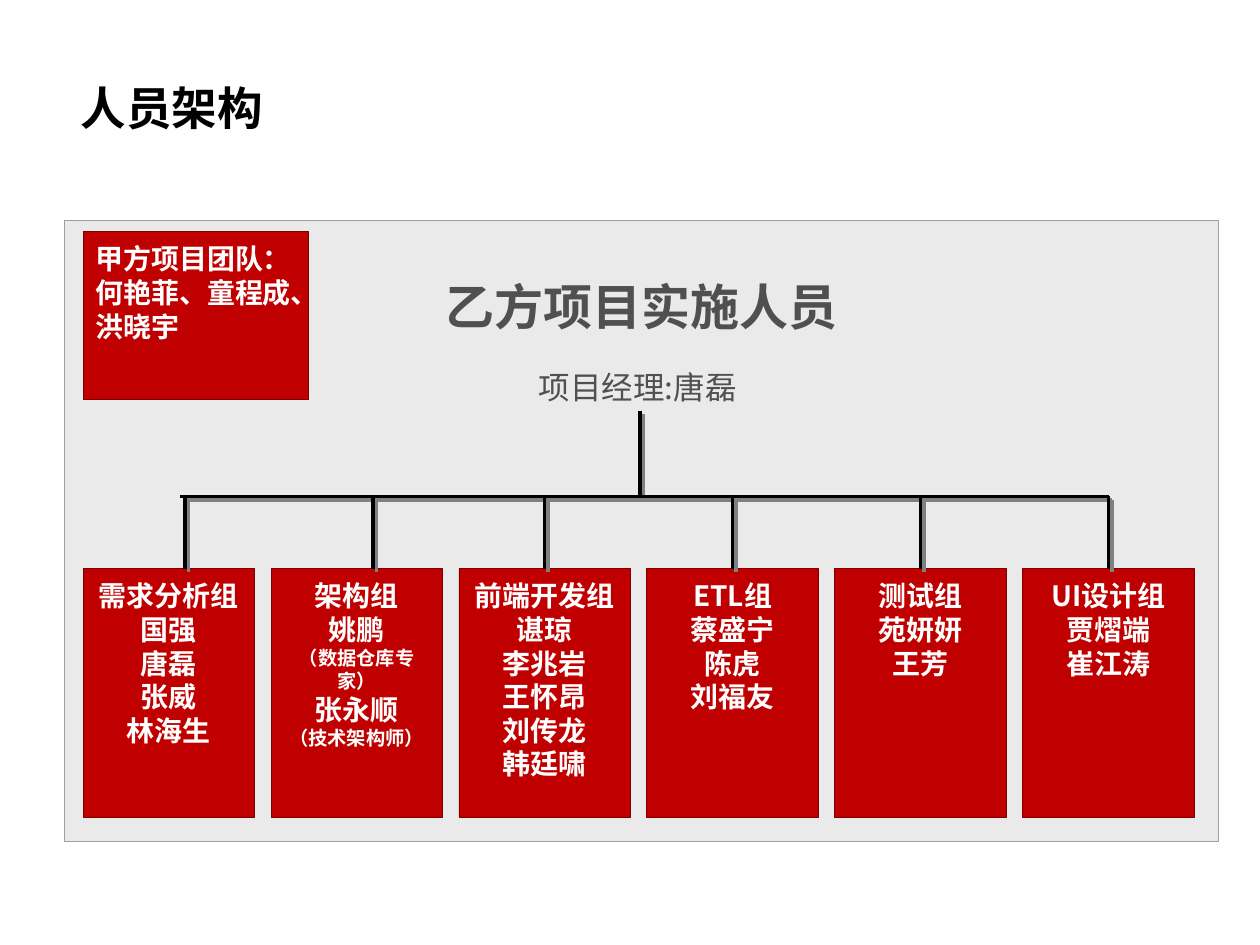
from lxml import etree
from pptx import Presentation
from pptx.dml.color import RGBColor
from pptx.enum import shapes, text
from pptx.oxml import ns
from pptx.util import Pt

FONT = "Noto Sans CJK SC"
COLORS = {
    "title": "000000",
    "panel": "EAEAEA",
    "panel_line": "A0A0A0",
    "panel_text": "505050",
    "card": "C00000",
    "card_line": "7D0000",
    "card_text": "FFFFFF",
    "connector": "000000",
    "shadow": "808080",
}
LINE_HEIGHT = 1.2
CARD_PITCH, CARD_WIDTH, CARD_HEIGHT = 107.4, 97.9, 142

# Members of each group, and how far its branch stands from the card's middle
GROUPS = [
    (["需求分析组\n国强", "唐磊", "张威", "林海生"], 9.4),
    (["架构组", "姚鹏", "（数据仓库专家）", "张永顺", "（技术架构师）"], 9.4),
    (["前端开发组", "谌琼\n李兆岩\n王怀昂", "刘传龙", "韩廷啸"], 0),
    (["ETL组", "蔡盛宁", "陈虎", "刘福友"], 0),
    (["测试组", "苑妍妍", "王芳"], 0),
    (["UI设计组", "贾熠端", "崔江涛"], 0),
]


def color(name):
    return RGBColor.from_string(COLORS[name])


def write(paragraph, words, size=16, bold=True, fill="card_text",
          align=text.PP_ALIGN.CENTER, before=0, line_height=LINE_HEIGHT):
    paragraph.text = words
    paragraph.alignment = align
    paragraph.space_before = Pt(before)
    paragraph.line_spacing = Pt(round(size * line_height, 1))
    for run in paragraph.runs:
        run.font.size = Pt(size)
        run.font.bold = bold
        run.font.name = FONT
        run.font.color.rgb = color(fill)
        properties = run.font._element
        east_asian = etree.SubElement(properties, ns.qn("a:ea"))
        east_asian.set("typeface", FONT)


def set_frame(frame, left=7.2, top=5.8, right=7.2, bottom=3.6):
    frame.word_wrap = True
    frame.auto_size = text.MSO_AUTO_SIZE.NONE
    frame.vertical_anchor = text.MSO_ANCHOR.TOP
    frame.margin_left, frame.margin_top = Pt(left), Pt(top)
    frame.margin_right, frame.margin_bottom = Pt(right), Pt(bottom)


def add_box(slide, left, top, width, height, fill, line):
    shape = slide.shapes.add_shape(shapes.MSO_SHAPE.RECTANGLE,
                                   Pt(left), Pt(top), Pt(width), Pt(height))
    shape.shadow.inherit = False
    shape.fill.solid()
    shape.fill.fore_color.rgb = color(fill)
    shape.line.color.rgb = color(line)
    shape.line.width = Pt(0.5)
    set_frame(shape.text_frame)
    return shape


def add_card(slide, left, top, width, height, lines, align=text.PP_ALIGN.CENTER):
    """Red box with one paragraph per line; remarks in brackets are smaller."""
    card = add_box(slide, left, top, width, height, "card", "card_line")
    frame = card.text_frame
    for index, words in enumerate(lines):
        paragraph = frame.add_paragraph() if index else frame.paragraphs[0]
        write(paragraph, words, size=11 if words.startswith("（") else 16, align=align)
    return card


def add_line(slide, x1, y1, x2, y2):
    """Black line with a hard grey shadow to the lower right."""
    line = slide.shapes.add_connector(shapes.MSO_CONNECTOR.STRAIGHT,
                                      Pt(x1), Pt(y1), Pt(x2), Pt(y2))
    line.line.color.rgb = color("connector")
    line.line.width = Pt(2)
    effects = etree.SubElement(line._element.spPr, ns.qn("a:effectLst"))
    shadow = etree.SubElement(effects, ns.qn("a:outerShdw"), dist=str(Pt(2.8)),
                              dir=str(45 * 60000), algn="ctr", rotWithShape="0")
    etree.SubElement(shadow, ns.qn("a:srgbClr"), val=COLORS["shadow"])
    return line


def add_title(slide, left, top, width, height):
    title = slide.shapes.title
    title.left, title.top = Pt(left), Pt(top)
    title.width, title.height = Pt(width), Pt(height)
    set_frame(title.text_frame)
    write(title.text_frame.paragraphs[0], "人员架构", size=26, fill="title",
          align=text.PP_ALIGN.LEFT, line_height=1.08)


def add_panel(slide, left, top, width, height):
    panel = add_box(slide, left, top, width, height, "panel", "panel_line")
    frame = panel.text_frame
    set_frame(frame, left=1.4, top=32.3, right=1.4, bottom=0)
    write(frame.paragraphs[0], "乙方项目实施人员", size=28, fill="panel_text")
    write(frame.add_paragraph(), "项目经理:唐磊 ", size=18, bold=False,
          fill="panel_text", before=18.6)


def add_group_tree(slide, left, top):
    """Trunk, crossbar and a row of group cards, hung from the given corner."""
    bar_top, cards_top = top + 49, top + 90.3
    add_line(slide, left + 318.3, top, left + 318.3, bar_top)
    add_line(slide, left + 55.5, bar_top, left + 586.1, bar_top)
    for index, (lines, offset) in enumerate(GROUPS):
        card_left = left + index * CARD_PITCH
        card = add_card(slide, card_left, cards_top, CARD_WIDTH, CARD_HEIGHT, lines)
        x = card_left + CARD_WIDTH / 2 + offset
        branch = add_line(slide, x, bar_top, x, cards_top)
        if not offset:
            branch.end_connect(card, 0)


def main():
    presentation = Presentation()
    presentation.slide_width, presentation.slide_height = Pt(720), Pt(540)
    slide = presentation.slides.add_slide(presentation.slide_layouts[5])
    add_title(slide, 38.9, 43.2, 513.4, 43.2)
    add_panel(slide, 36.7, 126, 659.5, 355)
    add_group_tree(slide, 47.5, 234.7)
    add_card(slide, 47.5, 132.5, 128.9, 95.8,
             ["甲方项目团队：何艳菲、童程成、洪晓宇"], align=text.PP_ALIGN.LEFT)
    presentation.save("out.pptx")


if __name__ == "__main__":
    main()
